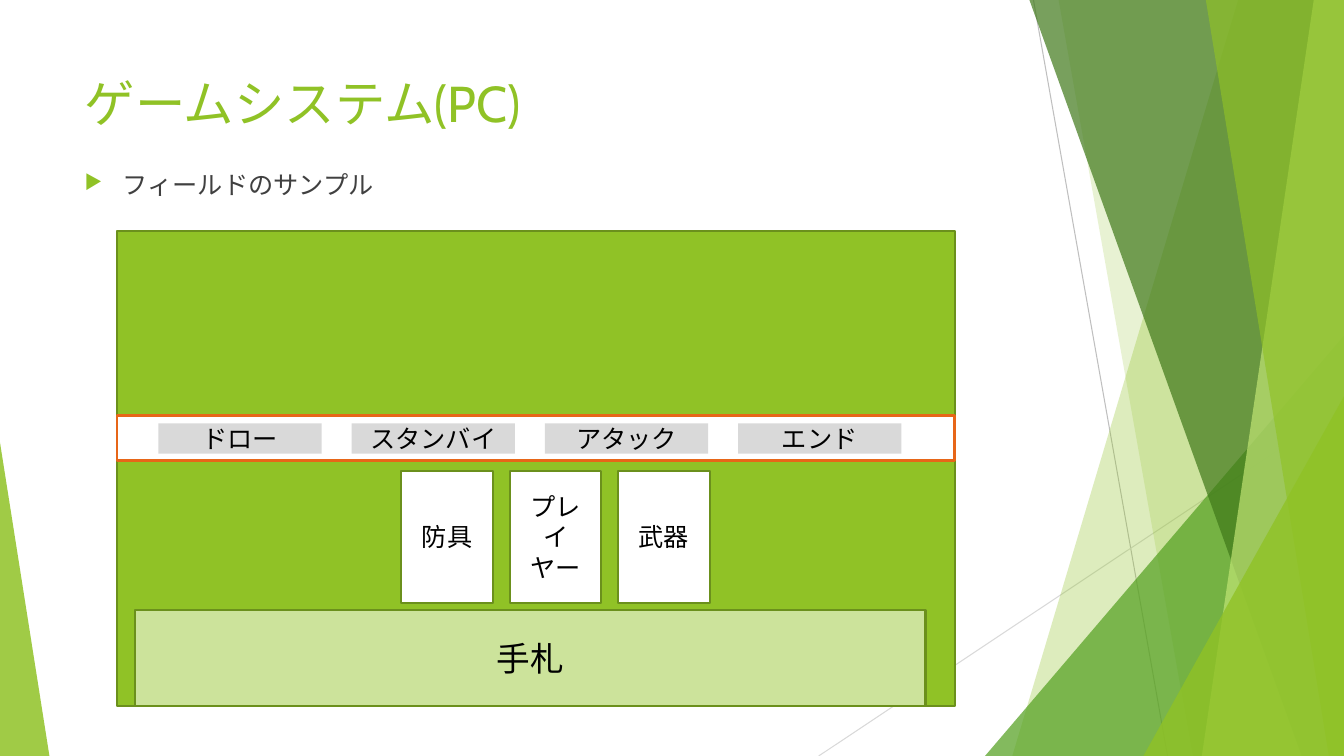
import pptx
import pptx.dml.color
import pptx.enum.shapes
import pptx.enum.text
import pptx.oxml
import pptx.oxml.ns
import pptx.util

WIDTH, HEIGHT = 13.33, 7.5
FONT = "Cabin"
COLORS = {
    "lime": "90C226", "green": "54A021", "forest": "3F7819", "pale": "C0E474",
    "edge": "6B901C", "orange": "E76618", "white": "FFFFFF", "black": "000000",
    "text": "404040", "phase": "D9D9D9", "ray_dark": "BFBFBF", "ray_light": "D9D9D9",
}
SHAPES = pptx.enum.shapes.MSO_SHAPE
ALIGN = pptx.enum.text.PP_ALIGN
ANCHOR = pptx.enum.text.MSO_ANCHOR


def rgb(name):
    return pptx.dml.color.RGBColor.from_string(COLORS[name])


def inches(*lengths):
    return [pptx.util.Inches(length) for length in lengths]


def add_xml(parent, tag, **attributes):
    element = pptx.oxml.parse_xml(f"<a:{tag} {pptx.oxml.ns.nsdecls('a')}/>")
    for key, value in attributes.items():
        element.set(key, str(value))
    parent.append(element)
    return element


def paint(shape, fill, opacity=100, edge=None, edge_width=1.5):
    shape.shadow.inherit = False
    shape.fill.solid()
    shape.fill.fore_color.rgb = rgb(fill)
    if opacity < 100:
        color = shape.fill._xPr.find(".//" + pptx.oxml.ns.qn("a:srgbClr"))
        add_xml(color, "alpha", val=opacity * 1000)
    if edge:
        shape.line.color.rgb = rgb(edge)
        shape.line.width = pptx.util.Pt(edge_width)
    else:
        shape.line.fill.background()


def write(frame, text, size, color, align, anchor):
    frame.word_wrap = True
    frame.auto_size = pptx.enum.text.MSO_AUTO_SIZE.NONE
    frame.vertical_anchor = anchor
    frame.text = text
    paragraph = frame.paragraphs[0]
    paragraph.alignment = align
    font = paragraph.runs[0].font
    font.name = FONT
    font.size = pptx.util.Pt(size)
    font.color.rgb = rgb(color)
    return paragraph


def add_panel(slide, box, fill, label=None, size=18, **style):
    panel = slide.shapes.add_shape(SHAPES.RECTANGLE, *inches(*box))
    paint(panel, fill, **style)
    if label:
        write(panel.text_frame, label, size, "black", ALIGN.CENTER, ANCHOR.MIDDLE)


def add_ray(slide, start, end, color):
    ray = slide.shapes.add_connector(
        pptx.enum.shapes.MSO_CONNECTOR.STRAIGHT, *inches(*start, *end))
    ray.line.color.rgb = rgb(color)
    ray.line.width = pptx.util.Pt(0.75)
    add_xml(ray._element.spPr, "effectLst")


def add_shard(slide, top_left, bottom_left, fill, opacity):
    corners = [(top_left, 0), (WIDTH, 0), (WIDTH, HEIGHT), (bottom_left, HEIGHT)]
    points = [(round(x * 100), round(y * 100)) for x, y in corners]
    builder = slide.shapes.build_freeform(*points[0], scale=pptx.util.Inches(0.01))
    builder.add_line_segments(points[1:], close=True)
    paint(builder.convert_to_shape(), fill, opacity)


def add_wedge(slide, left, top, right, apex, fill, opacity):
    wedge = slide.shapes.add_shape(
        SHAPES.ISOSCELES_TRIANGLE, *inches(left, top, right - left, HEIGHT - top))
    wedge.adjustments[0] = apex
    paint(wedge, fill, opacity)


def add_backdrop(slide):
    add_ray(slide, (10.25, 0), (11.58, HEIGHT), "ray_dark")
    add_ray(slide, (WIDTH, 4.03), (8.12, HEIGHT), "ray_light")
    add_shard(slide, 12.28, 10.04, "lime", 30)
    add_shard(slide, 10.5, 11.83, "lime", 20)
    add_wedge(slide, 9.77, 3.33, WIDTH, 1, "green", 72)
    add_shard(slide, 10.21, 12.91, "forest", 70)
    add_shard(slide, 13.03, 11.92, "pale", 70)
    add_shard(slide, 11.96, 13.18, "lime", 65)
    add_wedge(slide, 11.34, 3.93, WIDTH, 1, "lime", 80)
    add_wedge(slide, 0, 4.39, 0.49, 0, "lime", 85)


def add_heading(slide, box, title_text, bullet_text):
    left, top, width, height = box
    title = slide.shapes.title
    title.left, title.top, title.width, title.height = inches(*box)
    write(title.text_frame, title_text, 36, "lime", ALIGN.LEFT, ANCHOR.TOP)

    summary = slide.shapes.add_textbox(*inches(left, top + 0.96, width, 0.48))
    paragraph = write(summary.text_frame, bullet_text, 18, "text", ALIGN.LEFT, ANCHOR.TOP)
    properties = paragraph._p.get_or_add_pPr()
    indent = pptx.util.Inches(0.38)
    properties.set("marL", str(indent))
    properties.set("indent", str(-indent))
    add_xml(add_xml(properties, "buClr"), "srgbClr", val=COLORS["lime"])
    add_xml(properties, "buSzPct", val=80000)
    add_xml(properties, "buChar", char="▶")


def add_phases(slide, box, phases):
    left, top, width, height = box
    add_panel(slide, box, "white", edge="orange", edge_width=2)
    for column, phase in enumerate(phases):
        add_panel(slide, (left + 0.41 + column * 1.917, top + 0.08, 1.62, 0.3),
                  "phase", phase)


def add_board(slide, box):
    left, top, width, height = box
    add_panel(slide, box, "lime", edge="edge")
    for column, card in enumerate(["防具", "プレイヤー", "武器"]):
        add_panel(slide, (left + 2.82 + column * 1.075, top + 2.38, 0.91, 1.31),
                  "white", card, edge="edge")
    hand_height = 0.95
    add_panel(slide, (left + 0.18, top + height - hand_height, 7.84, hand_height),
              "white", "手札", 24, opacity=54, edge="edge")
    add_phases(slide, (left, top + 1.83, width, 0.45),
               ["ドロー", "スタンバイ", "アタック", "エンド"])


def main():
    deck = pptx.Presentation()
    deck.slide_width, deck.slide_height = inches(WIDTH, HEIGHT)
    slide = deck.slides.add_slide(deck.slide_layouts[5])
    add_backdrop(slide)
    add_heading(slide, (0.74, 0.67, 9.4, 1.44), "ゲームシステム(PC)", "フィールドのサンプル")
    add_board(slide, (1.16, 2.29, 8.31, 4.71))
    deck.save("out.pptx")


if __name__ == "__main__":
    main()
